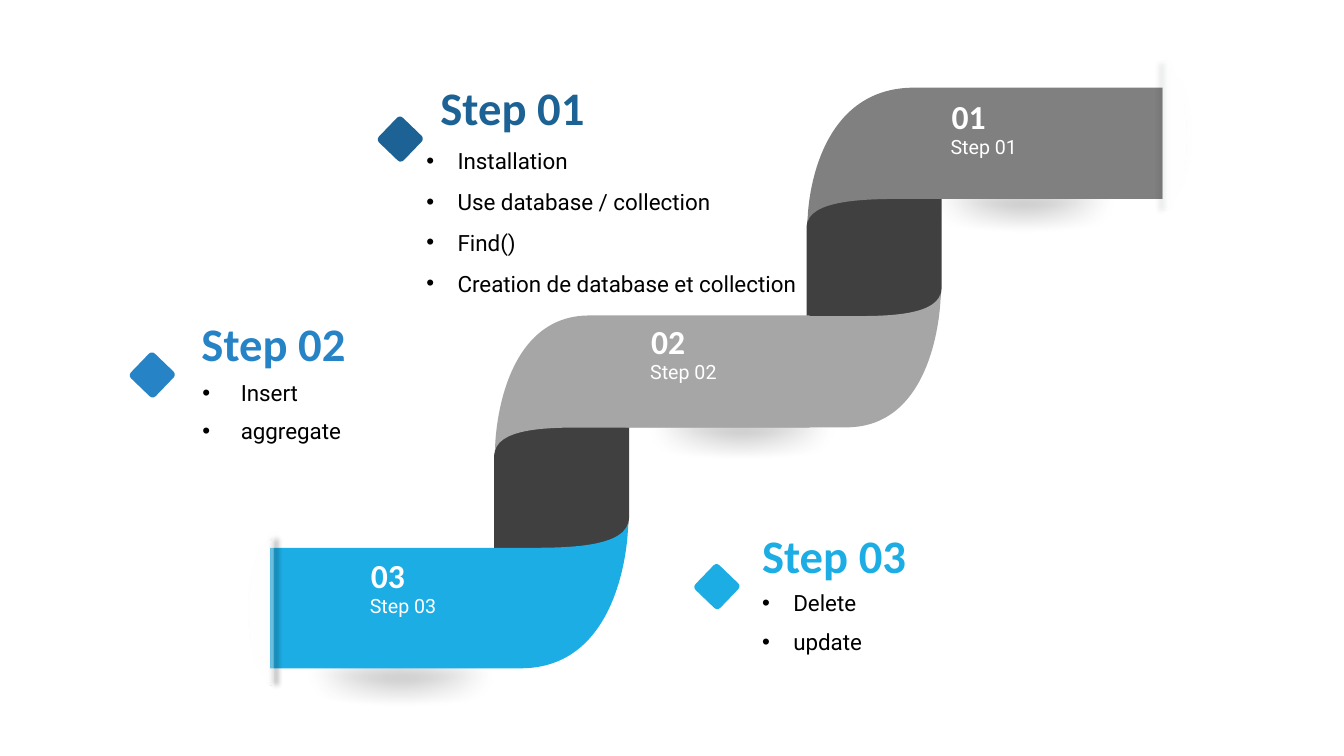
from lxml.etree import SubElement
from math import hypot

from pptx import Presentation
from pptx.dml.color import RGBColor
from pptx.enum.shapes import MSO_SHAPE
from pptx.enum.text import MSO_ANCHOR
from pptx.oxml.ns import qn
from pptx.util import Pt

PX = 9144  # EMU per px, 100 px to the inch
COLORS = {
    "black": "000000", "white": "FFFFFF", "fold": "404040", "mist": "F9FBFC",
    "dark_gray": "808080", "light_gray": "A6A6A6",
    "navy": "1C6294", "blue": "2683C6", "cyan": "1CADE4",
}

# Outlines in fractions of their box: pairs are lines, sixes are curves
ELBOW = [(0.3, 0), (1, 0), (1, 0.83), (0.3, 0.83),
         (0.2, 0.83, 0.02, 0.82, 0, 1), (0, 0.83, 0.03, 0, 0.3, 0)]
FOLD = [(0.31, 0.98), (0, 0.98), (0, 0.32), (0.06, 0, 0.48, 0.01, 0.7, 0.01),
        (1, 0.01), (1, 0.65), (0.96, 1, 0.53, 0.98, 0.31, 0.98)]
# Half ellipse: first number along the chord, second across it
HALF_ELLIPSE = [(0, 0), (1, 0), (1, 0.55, 0.78, 1, 0.5, 1), (0.22, 1, 0, 0.55, 0, 0)]

# Chord start, chord end, depth of the bulge
SHADOWS = [
    (910, 412, 910, 38, 53), (600, 627, 600, 254, 52), (513, 396, 958, 396, 63),
    (518, 351, 518, 654, 55), (828, 116, 828, 419, 55), (518, 675, 614, 524, 63),
    (837, 449, 909, 289, 63), (174, 641, 620, 641, 63), (803, 171, 1228, 171, 63),
]
FOLDS = [(800, 166, 134, 183), (490, 394, 134, 183)]
# Box, colour, turned half round
ELBOWS = [
    ((268, 519, 355, 144), "cyan", True), ((491, 313, 312, 134), "light_gray", False),
    ((621, 291, 312, 133), "light_gray", True), ((801, 87, 352, 133), "dark_gray", False),
]
# Chord, gradient angle, opacity of the three stops, shadow colour, opacity, direction
TABS = [
    ((1153, 209, 1153, 64, 24), 180, (4, 0, 10), "white", 40, 315),
    ((1153, 206, 1153, 60, 24), 180, (0, 0, 10), "black", 100, 135),
    ((270, 533, 270, 678, 23), 0, (4, 0, 10), "white", 40, 315),
    ((271, 535, 271, 680, 24), 0, (0, 0, 30), "black", 100, 0),
]
# Left and top of the number on each band
BANDS = [("01", 934, 95), ("02", 636, 318), ("03", 358, 550)]
# Left and top, colour, heading shift, list shift and size, indent, line spacing
STEPS = [
    ("Step 01", 380, 84, "navy", 47, (33, 57, 468, 168), 31, 1.0,
     ["Installation", "Use database / collection", "Find()",
      "Creation de database et collection"]),
    ("Step 02", 134, 318, "blue", 56, (57, 56, 190, 99), 38, 0.9,
     ["Insert", "aggregate"]),
    ("Step 03", 694, 528, "cyan", 52, (52, 55, 289, 98), 31, 0.9,
     ["Delete", "update"]),
]


def rgb(name):
    return RGBColor.from_string(COLORS[name])


def style(shape, color):
    shape.shadow.inherit = False
    shape.fill.solid()
    shape.fill.fore_color.rgb = rgb(color)
    shape.line.fill.background()


def add_color(parent, color, opacity):
    node = SubElement(parent, qn("a:srgbClr"), val=COLORS[color])
    SubElement(node, qn("a:alpha"), val=str(opacity * 1000))


def add_outline(slide, outline, place, color):
    """Draw an outline; place(x, y) turns its fractions into px."""
    segments = []
    for segment in outline:
        pairs = zip(segment[::2], segment[1::2])
        segments.append([tuple(round(v * PX) for v in place(x, y)) for x, y in pairs])
    builder = slide.shapes.build_freeform(*segments[0][-1], scale=1.0)
    builder.add_line_segments([points[-1] for points in segments[1:]], close=True)
    shape = builder.convert_to_shape()
    # Bend the lines that are curves
    lines = list(shape._element.spPr.iter(qn("a:lnTo")))
    for line, points in zip(lines, segments[1:]):
        if len(points) == 3:
            line.tag = qn("a:cubicBezTo")
            line.remove(line[0])
            for x, y in points:
                SubElement(line, qn("a:pt"), x=str(x - shape.left), y=str(y - shape.top))
    style(shape, color)
    return shape


def add_in_box(slide, box, outline, color, turned=False):
    left, top, width, height = box

    def place(x, y):
        if turned:
            x, y = 1 - x, 1 - y
        return left + x * width, top + y * height

    return add_outline(slide, outline, place, color)


def add_half_ellipse(slide, chord, color):
    x0, y0, x1, y1, depth = chord
    dx, dy = x1 - x0, y1 - y0
    ratio = depth / hypot(dx, dy)

    def place(along, across):
        return (x0 + along * dx - across * ratio * dy,
                y0 + along * dy + across * ratio * dx)

    return add_outline(slide, HALF_ELLIPSE, place, color)


def add_soft_shadow(slide, chord):
    shape = add_half_ellipse(slide, chord, "black")
    properties = shape._element.spPr
    color = properties.find(".//" + qn("a:srgbClr"))
    SubElement(color, qn("a:alpha"), val="74000")
    SubElement(properties.find(qn("a:effectLst")), qn("a:softEdge"), rad=str(Pt(20)))


def add_tab(slide, chord, angle, opacities, color, opacity, direction):
    shape = add_half_ellipse(slide, chord, "white")
    shape.fill.gradient()
    properties = shape._element.spPr
    gradient = properties.find(qn("a:gradFill"))
    for child in list(gradient):
        gradient.remove(child)
    stops = SubElement(gradient, qn("a:gsLst"))
    for position, name, alpha in zip((4, 71, 91), ("white", "white", "mist"), opacities):
        add_color(SubElement(stops, qn("a:gs"), pos=str(position * 1000)), name, alpha)
    SubElement(gradient, qn("a:lin"), ang=str(angle * 60000), scaled="0")
    effect = SubElement(
        properties.find(qn("a:effectLst")), qn("a:outerShdw"), blurRad=str(Pt(4)),
        dist=str(Pt(3)), dir=str(direction * 60000), algn="ctr", rotWithShape="0")
    add_color(effect, color, opacity)


def add_text(slide, box, lines, font, size, color, bold=False, spacing=0.9, indent=0):
    text_box = slide.shapes.add_textbox(*[value * PX for value in box])
    frame = text_box.text_frame
    frame.word_wrap = True
    frame.text = "\n".join(lines)
    for index, paragraph in enumerate(frame.paragraphs):
        if indent:
            properties = paragraph._p.get_or_add_pPr()
            properties.set("marL", str(indent * PX))
            properties.set("indent", str(-indent * PX))
            SubElement(properties, qn("a:buFont"), typeface="Arial")
            SubElement(properties, qn("a:buChar"), char="•")
        paragraph.line_spacing = spacing
        if index:
            paragraph.space_before = Pt(10)
        for run in paragraph.runs:
            run.font.name, run.font.size, run.font.bold = font, Pt(size), bold
            run.font.color.rgb = rgb(color)
    return frame


def add_ribbon(slide):
    for chord in SHADOWS:
        add_soft_shadow(slide, chord)
    for box in FOLDS:
        add_in_box(slide, box, FOLD, "fold")
    for box, color, turned in ELBOWS:
        add_in_box(slide, box, ELBOW, color, turned)
    for tab in TABS:
        add_tab(slide, *tab)


def add_band_label(slide, number, left, top):
    add_text(slide, (left, top, 59, 51), [number], "Calibri", 24, "white", bold=True)
    add_text(slide, (left - 1, top + 37, 160, 59), [f"Step {number}"], "Roboto", 14, "white")


def add_step(slide, title, left, top, color, shift, list_box, indent, spacing, items):
    # Diamond marker
    diamond = slide.shapes.add_shape(
        MSO_SHAPE.ROUNDED_RECTANGLE, left * PX, (top + 37) * PX, 34 * PX, 34 * PX)
    diamond.adjustments[0] = 0.12
    diamond.rotation = 43.9
    style(diamond, color)
    # Heading
    heading = add_text(slide, (left + shift, top, 242, 55), [title], "Calibri", 33.3,
                       color, bold=True, spacing=0.8)
    heading.vertical_anchor = MSO_ANCHOR.MIDDLE
    # Bulleted list
    x, y, width, height = list_box
    add_text(slide, (left + x, top + y, width, height), items, "Roboto", 16, "black",
             spacing=spacing, indent=indent)


def main():
    presentation = Presentation()
    presentation.slide_width = 1333 * PX
    presentation.slide_height = 750 * PX
    slide = presentation.slides.add_slide(presentation.slide_layouts[6])
    add_ribbon(slide)
    for band in BANDS:
        add_band_label(slide, *band)
    for step in STEPS:
        add_step(slide, *step)
    presentation.save("out.pptx")


if __name__ == "__main__":
    main()
